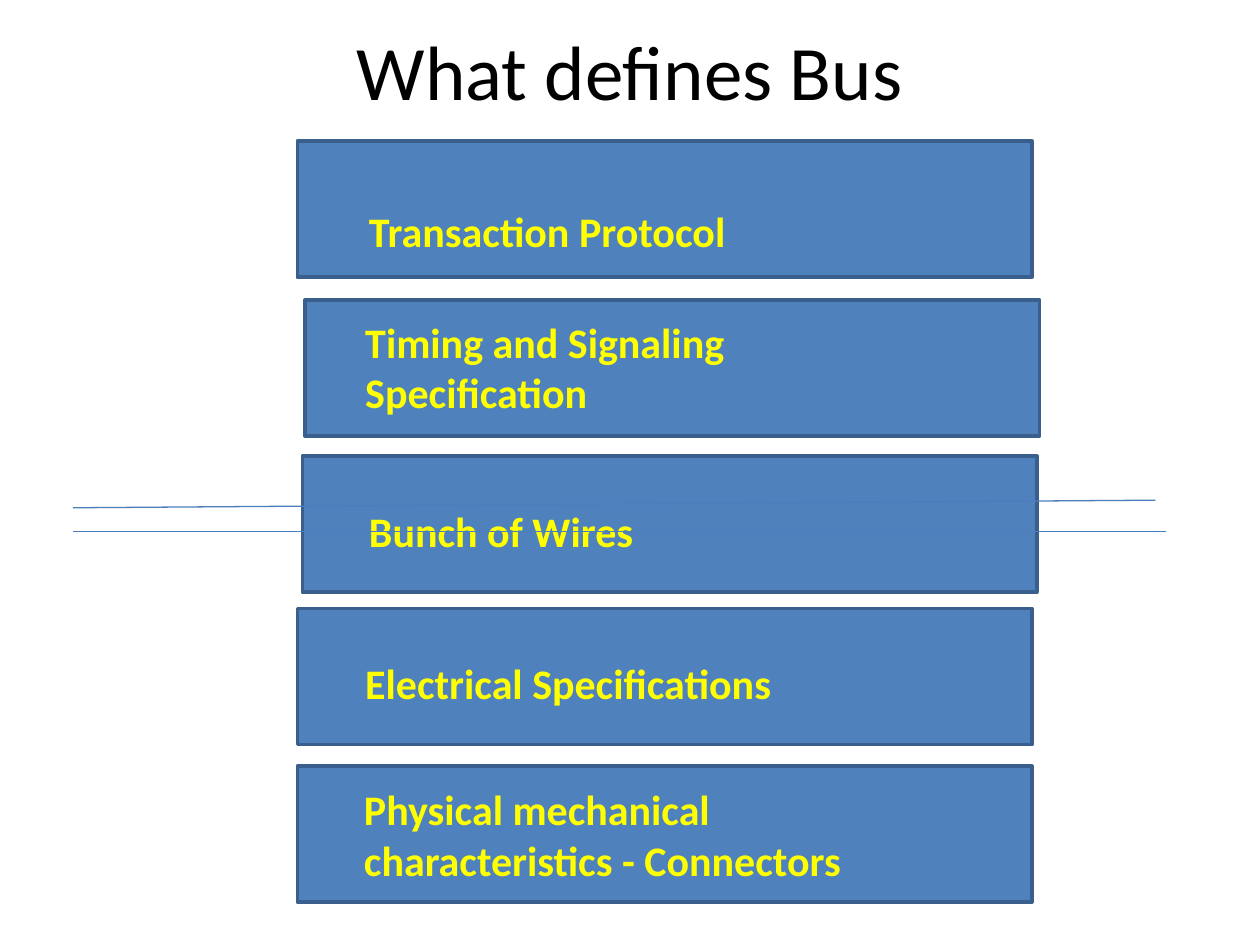
from pptx import Presentation
from pptx.dml.color import RGBColor
from pptx.enum.shapes import MSO_CONNECTOR, MSO_SHAPE
from pptx.enum.text import MSO_ANCHOR, PP_ALIGN
from pptx.oxml.ns import qn
from pptx.util import Inches, Pt
from lxml.etree import SubElement

BLACK = RGBColor(0x00, 0x00, 0x00)
YELLOW = RGBColor(0xFF, 0xFF, 0x00)
BLUE = RGBColor(0x4F, 0x81, 0xBD)
BORDER = RGBColor(0x3A, 0x5F, 0x8C)
WIRE = RGBColor(0x4B, 0x7E, 0xBC)

TITLE = "What defines Bus"
TITLE_FORMAT = {"name": "Calibri", "size": Pt(44), "bold": False}
LABEL_FORMAT = {"name": "Calibri", "size": Pt(24), "bold": True}

LAYER_WIDTH, LAYER_HEIGHT = 5.83, 1.08
LABEL_WIDTH = 4.58
LINE_HEIGHT, LABEL_PADDING = 0.41, 0.09

# label, number of text lines, layer (left, top), label (left, top)
LAYERS = [
    ("Transaction Protocol", 1, (2.36, 1.12), (2.83, 1.58)),
    ("Timing and Signaling Specification", 2, (2.42, 2.38), (2.8, 2.46)),
    ("Bunch of Wires", 1, (2.4, 3.62), (2.83, 3.96)),
    ("Electrical Specifications", 1, (2.36, 4.83), (2.8, 5.17)),
    ("Physical mechanical characteristics - Connectors", 2,
     (2.36, 6.08), (2.79, 6.17)),
]
WIRES = [(0.58, 4.03, 9.17, 3.97), (0.58, 4.22, 9.25, 4.22)]


def add_text(page, text, area, text_format, color,
             anchor=MSO_ANCHOR.TOP, align=PP_ALIGN.LEFT):
    box = page.shapes.add_textbox(*map(Inches, area))
    frame = box.text_frame
    frame.word_wrap = True
    frame.vertical_anchor = anchor
    para = frame.paragraphs[0]
    para.alignment = align
    span = para.add_run()
    span.text = text
    for name, value in text_format.items():
        setattr(span.font, name, value)
    span.font.color.rgb = color


def add_layer(page, left, top):
    layer = page.shapes.add_shape(
        MSO_SHAPE.RECTANGLE,
        *map(Inches, (left, top, LAYER_WIDTH, LAYER_HEIGHT)))
    layer.shadow.inherit = False
    layer.fill.solid()
    layer.fill.fore_color.rgb = BLUE
    layer.line.color.rgb = BORDER
    layer.line.width = Pt(2)


def add_wire(page, ends):
    wire = page.shapes.add_connector(MSO_CONNECTOR.STRAIGHT, *map(Inches, ends))
    wire.line.color.rgb = WIRE
    wire.line.width = Pt(0.75)
    SubElement(wire._element.spPr, qn("a:effectLst"))


def main():
    deck = Presentation()
    deck.slide_width, deck.slide_height = Inches(10), Inches(7.5)
    page = deck.slides.add_slide(deck.slide_layouts[6])

    add_text(page, TITLE, (0.5, 0.02, 9, 1.06), TITLE_FORMAT, BLACK,
             MSO_ANCHOR.MIDDLE, PP_ALIGN.CENTER)
    for _, _, corner, _ in LAYERS:
        add_layer(page, *corner)
    for label, lines, _, corner in LAYERS:
        height = LABEL_PADDING + lines * LINE_HEIGHT
        add_text(page, label, (*corner, LABEL_WIDTH, height),
                 LABEL_FORMAT, YELLOW)
    for ends in WIRES:
        add_wire(page, ends)

    deck.save("out.pptx")


if __name__ == "__main__":
    main()
